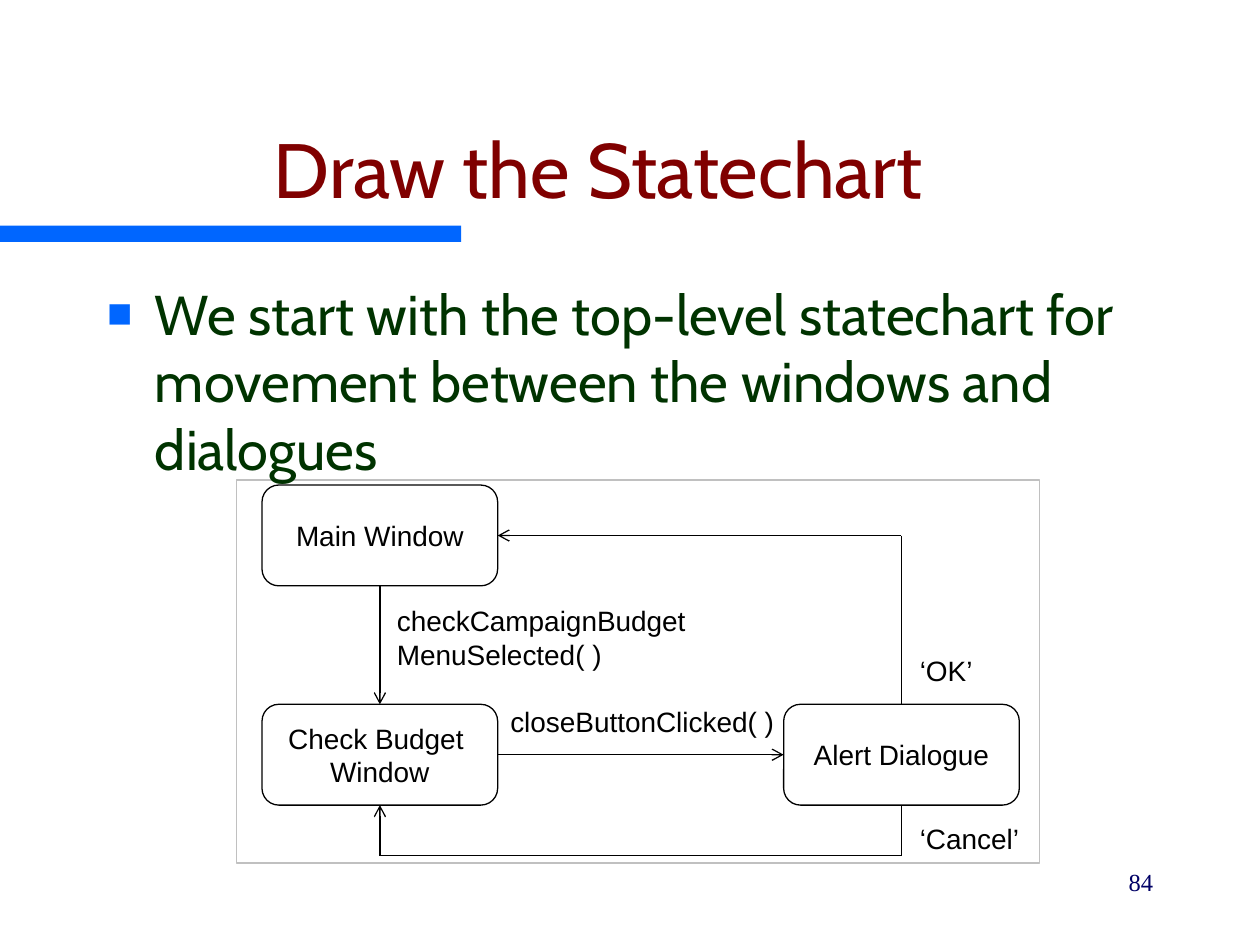
from lxml.etree import SubElement
from pptx import Presentation
from pptx.dml.color import RGBColor
from pptx.enum.shapes import MSO_CONNECTOR, MSO_SHAPE
from pptx.enum.text import MSO_ANCHOR, MSO_AUTO_SIZE, PP_ALIGN
from pptx.oxml.ns import qn
from pptx.util import Inches, Pt

COLOURS = {
    "accent": "0066FF",
    "title": "800000",
    "body": "003300",
    "number": "000066",
    "frame": "C0C0C0",
    "ink": "000000",
    "paper": "FFFFFF",
}
STATE_W, STATE_H = 1.87, 0.8
LEFT_X, RIGHT_X = 2.08, 6.22
TOP_Y, BOTTOM_Y = 3.85, 5.59


def rgb(name):
    return RGBColor.from_string(COLOURS[name])


def place(shape, left, top, width, height):
    shape.left, shape.top = Inches(left), Inches(top)
    shape.width, shape.height = Inches(width), Inches(height)


def add_run(paragraph, text, size, font, colour):
    run = paragraph.add_run()
    run.text = text
    run.font.size = Pt(size)
    run.font.name = font
    run.font.color.rgb = rgb(colour)


def add_box(shapes, preset, bounds, fill, line=None):
    box = shapes.add_shape(preset, *map(Inches, bounds))
    box.shadow.inherit = False
    box.fill.solid()
    box.fill.fore_color.rgb = rgb(fill)
    if line:
        box.line.color.rgb = rgb(line)
        box.line.width = Pt(0.75)
    else:
        box.line.fill.background()
    return box


def add_state(shapes, left, top, lines):
    state = add_box(shapes, MSO_SHAPE.ROUNDED_RECTANGLE,
                    (left, top, STATE_W, STATE_H), "paper", "ink")
    frame = state.text_frame
    frame.word_wrap = False
    frame.vertical_anchor = MSO_ANCHOR.MIDDLE
    paragraph = frame.paragraphs[0]
    paragraph.alignment = PP_ALIGN.CENTER
    for i, line in enumerate(lines):
        if i:
            paragraph.add_line_break()
        add_run(paragraph, line, 16, "Arial", "ink")


def add_transition(shapes, start, end, arrow=False):
    line = shapes.add_connector(MSO_CONNECTOR.STRAIGHT,
                                *map(Inches, (*start, *end)))
    line.line.color.rgb = rgb("ink")
    line.line.width = Pt(0.75)
    if arrow:
        SubElement(line.element.spPr.get_or_add_ln(), qn("a:tailEnd"),
                   type="arrow")
    SubElement(line.element.spPr, qn("a:effectLst"))


def add_label(shapes, bounds, lines):
    frame = shapes.add_textbox(*map(Inches, bounds)).text_frame
    frame.word_wrap = False
    frame.auto_size = MSO_AUTO_SIZE.SHAPE_TO_FIT_TEXT
    frame.margin_left = frame.margin_right = 0
    frame.margin_top = frame.margin_bottom = 0
    for i, line in enumerate(lines):
        paragraph = frame.add_paragraph() if i else frame.paragraphs[0]
        add_run(paragraph, line, 16, "Arial", "ink")


def add_background(slide):
    accent_bar = add_box(slide.shapes, MSO_SHAPE.RECTANGLE,
                         (0, 1.79, 3.66, 0.13), "accent")
    diagram_frame = add_box(slide.shapes, MSO_SHAPE.RECTANGLE,
                            (1.88, 3.81, 6.37, 3.04), "paper", "frame")
    # Both lie behind the title and body
    for position, part in enumerate((accent_bar, diagram_frame), start=2):
        slide.shapes.element.insert(position, part.element)


def fill_title(title, text):
    place(title, 0.25, 0.5, 9, 1.25)
    title.text_frame.auto_size = MSO_AUTO_SIZE.NONE
    title.text_frame.vertical_anchor = MSO_ANCHOR.BOTTOM
    paragraph = title.text_frame.paragraphs[0]
    paragraph.alignment = PP_ALIGN.CENTER
    add_run(paragraph, text, 44, "Cabin", "title")


def fill_body(body, text):
    place(body, 0.75, 2.17, 8.5, 4.5)
    body.text_frame.auto_size = MSO_AUTO_SIZE.NONE
    paragraph = body.text_frame.paragraphs[0]
    props = paragraph._p.get_or_add_pPr()
    props.set("marL", str(Inches(0.38)))
    props.set("indent", str(Inches(-0.38)))
    bullet_colour = SubElement(props, qn("a:buClr"))
    SubElement(bullet_colour, qn("a:srgbClr"), val=COLOURS["accent"])
    SubElement(props, qn("a:buSzPct"), val="75000")
    SubElement(props, qn("a:buFont"), typeface="Arial")
    SubElement(props, qn("a:buChar"), char="■")
    paragraph.space_before = Pt(0)
    add_run(paragraph, text, 32, "Cabin", "body")


def add_statechart(slide):
    shapes = slide.shapes.add_group_shape().shapes
    left_mid, right_mid = LEFT_X + STATE_W / 2, RIGHT_X + STATE_W / 2
    left_edge = LEFT_X + STATE_W
    top_mid, bottom_mid = TOP_Y + STATE_H / 2, BOTTOM_Y + STATE_H / 2
    bottom_edge = BOTTOM_Y + STATE_H
    return_y = bottom_edge + 0.4

    # States
    add_state(shapes, LEFT_X, TOP_Y, ["Main Window"])
    add_state(shapes, LEFT_X, BOTTOM_Y, ["Check Budget ", "Window"])
    add_state(shapes, RIGHT_X, BOTTOM_Y, ["Alert Dialogue"])

    # Menu selection and close button
    add_transition(shapes, (left_mid, TOP_Y + STATE_H),
                   (left_mid, BOTTOM_Y), arrow=True)
    add_transition(shapes, (left_edge, bottom_mid),
                   (RIGHT_X, bottom_mid), arrow=True)

    # OK: back to the main window
    add_transition(shapes, (right_mid, BOTTOM_Y), (right_mid, top_mid))
    add_transition(shapes, (right_mid, top_mid),
                   (left_edge, top_mid), arrow=True)

    # Cancel: back to the check budget window
    add_transition(shapes, (right_mid, bottom_edge), (right_mid, return_y))
    add_transition(shapes, (right_mid, return_y), (left_mid, return_y))
    add_transition(shapes, (left_mid, return_y),
                   (left_mid, bottom_edge), arrow=True)

    # Event labels, each a little wider than its text
    add_label(shapes, (3.15, 4.79, 2.4, 0.53),
              ["checkCampaignBudget", "MenuSelected( )"])
    add_label(shapes, (4.05, 5.59, 2.15, 0.27), ["closeButtonClicked( )"])
    add_label(shapes, (7.3, 5.19, 0.48, 0.27), ["‘OK’"])
    add_label(shapes, (7.3, 6.52, 0.85, 0.27), ["‘Cancel’"])


def add_page_number(slide, number):
    bounds = map(Inches, (7.17, 6.83, 2.08, 0.5))
    frame = slide.shapes.add_textbox(*bounds).text_frame
    frame.word_wrap = True
    paragraph = frame.paragraphs[0]
    paragraph.alignment = PP_ALIGN.RIGHT
    add_run(paragraph, number, 14, "Times New Roman", "number")


def main():
    deck = Presentation()
    deck.slide_width, deck.slide_height = Inches(10), Inches(7.5)
    slide = deck.slides.add_slide(deck.slide_layouts[1])
    add_background(slide)
    fill_title(slide.shapes.title, "Draw the Statechart")
    fill_body(slide.placeholders[1],
              "We start with the top-level statechart for movement "
              "between the windows and dialogues")
    add_statechart(slide)
    add_page_number(slide, "84")
    deck.save("out.pptx")


if __name__ == "__main__":
    main()
